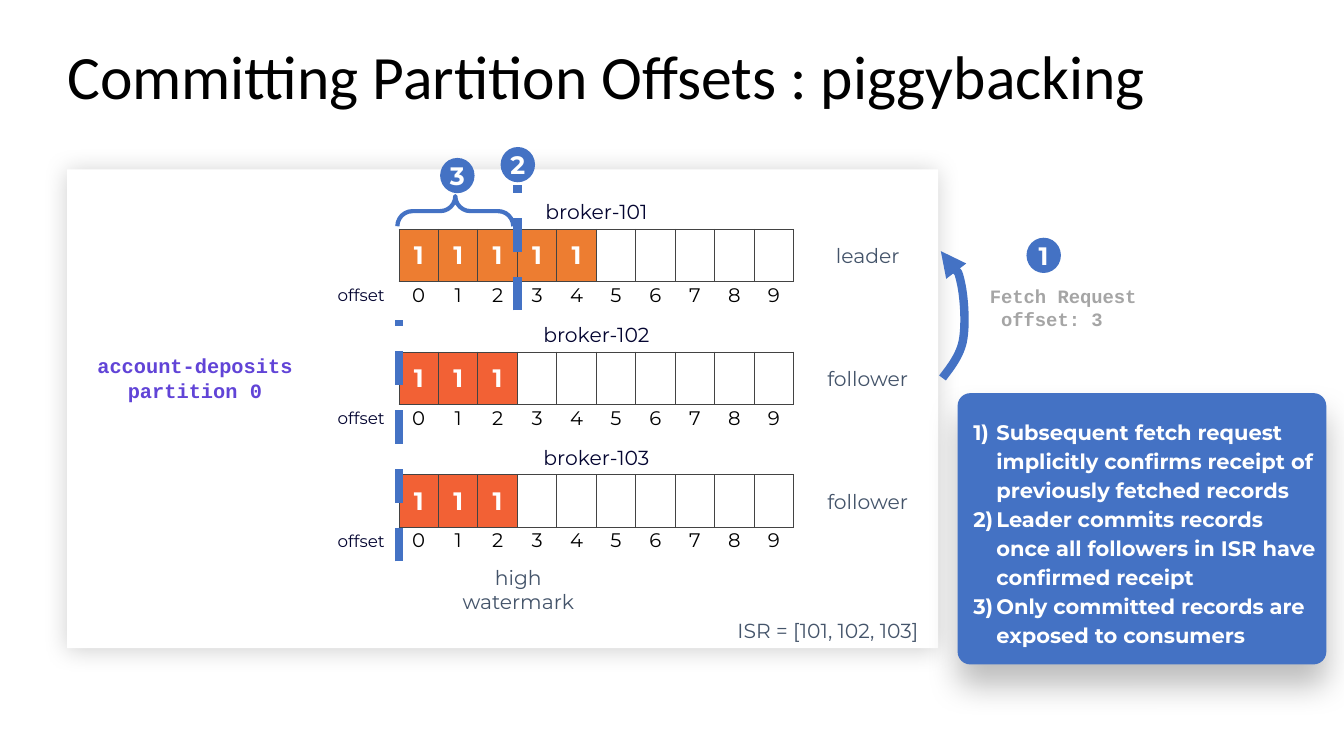
from dataclasses import dataclass

from lxml import etree
from pptx import Presentation
from pptx import util as u
from pptx.dml import color
from pptx.enum import dml, shapes, text
from pptx.oxml import ns

# Grid of 160 columns by 90 rows
deck = Presentation()
deck.slide_width, deck.slide_height = u.Inches(13.333), u.Inches(7.5)
CELL = deck.slide_height / 90
slide = deck.slides.add_slide(deck.slide_layouts[6])

BLUE, WHITE, SLATE, NAVY = "4472C4", "FFFFFF", "44546A", "040531"
ORANGE, CORAL, VIOLET, GREY = "ED7D31", "F26135", "6144D7", "A5A5A5"
SLOTS, SLOT_LEFT, SLOT_WIDTH = 10, 47.5, 4.7
LEFT, CENTER = text.PP_ALIGN.LEFT, text.PP_ALIGN.CENTER


@dataclass
class Place:
    col: float
    row: float
    cols: float
    rows: float

    def emu(self) -> tuple[int, ...]:
        return tuple(grid(n) for n in (self.col, self.row, self.cols, self.rows))


@dataclass
class Style:
    size: float
    hue: str
    bold: bool = False
    align: int = CENTER
    font: str = "Montserrat"
    spacing: float = 1.0


@dataclass
class Label:
    wording: str
    place: Place
    style: Style
    inset: float = 0.07
    middle: bool = True


@dataclass
class Broker:
    name: str
    role: str
    records: int
    fill: str


@dataclass
class Badge:
    number: int
    col: float
    row: float


def grid(n: float) -> int:
    return round(n * CELL)


def rgb(value: str) -> color.RGBColor:
    return color.RGBColor.from_string(value)


def child(parent, tag: str, **attributes):
    return etree.SubElement(parent, ns.qn(tag), {k: str(v) for k, v in attributes.items()})


def write(frame, wording: str, style: Style) -> None:
    frame.text = wording
    for paragraph in frame.paragraphs:
        paragraph.alignment = style.align
        paragraph.line_spacing = style.spacing
        font = paragraph.font
        font.name, font.size, font.bold = style.font, u.Pt(style.size), style.bold
        font.color.rgb = rgb(style.hue)


def set_margins(frame, left: float, top: float, right: float, bottom: float) -> None:
    frame.margin_left, frame.margin_top = u.Inches(left), u.Inches(top)
    frame.margin_right, frame.margin_bottom = u.Inches(right), u.Inches(bottom)


def add_label(label: Label) -> None:
    frame = slide.shapes.add_textbox(*label.place.emu()).text_frame
    frame.word_wrap = True
    set_margins(frame, *[label.inset] * 4)
    frame.vertical_anchor = text.MSO_ANCHOR.MIDDLE if label.middle else text.MSO_ANCHOR.TOP
    write(frame, label.wording, label.style)


def add_block(kind, place: Place, fill: str):
    block = slide.shapes.add_shape(kind, *place.emu())
    block.shadow.inherit = False
    block.fill.solid()
    block.fill.fore_color.rgb = rgb(fill)
    block.line.fill.background()
    block.text_frame.word_wrap = True
    block.text_frame.vertical_anchor = text.MSO_ANCHOR.MIDDLE
    return block


def cast_shadow(block, alpha: int, blur: float, distance: float) -> None:
    effects = block._element.spPr.find(ns.qn("a:effectLst"))
    shadow = child(effects, "a:outerShdw", blurRad=u.Pt(blur), dist=u.Pt(distance),
                   dir=5400000, algn="t", rotWithShape=0)
    child(child(shadow, "a:srgbClr", val="000000"), "a:alpha", val=alpha * 1000)


def set_line(line, width: float) -> None:
    line.color.rgb = rgb(BLUE)
    line.width = u.Pt(width)


def add_slots(row: float, rows: float, values: list[str], style: Style,
              inset: float, fills: list[str]) -> None:
    place = Place(SLOT_LEFT, row, SLOTS * SLOT_WIDTH, rows)
    table = slide.shapes.add_table(1, SLOTS, *place.emu()).table
    table.first_row = table.horz_banding = False
    for index, (value, fill) in enumerate(zip(values, fills)):
        table.columns[index].width = grid(SLOT_WIDTH)
        slot = table.cell(0, index)
        set_margins(slot, *[inset] * 4)
        slot.vertical_anchor = text.MSO_ANCHOR.MIDDLE
        write(slot.text_frame, value, style)
        if not fill:
            slot.fill.background()
            continue
        for side in "LRTB":
            border = child(slot._tc.get_or_add_tcPr(), f"a:ln{side}", w=u.Pt(0.75))
            child(child(border, "a:solidFill"), "a:srgbClr", val="434343")
        slot.fill.solid()
        slot.fill.fore_color.rgb = rgb(fill)


def add_watermark(col: float, bottom: float, top: float) -> None:
    mark = slide.shapes.add_connector(shapes.MSO_CONNECTOR.STRAIGHT,
                                      *[grid(n) for n in (col, bottom, col, top)])
    set_line(mark.line, 6)
    mark.line.dash_style = dml.MSO_LINE.DASH
    child(mark._element.spPr, "a:effectLst")


def add_fetch_arrow(start: tuple[float, float], controls: list[tuple[float, float]]) -> None:
    points = [(grid(x), grid(y)) for x, y in controls]
    builder = slide.shapes.build_freeform(grid(start[0]), grid(start[1]))
    arrow = builder.add_line_segments(points, close=False).convert_to_shape()
    arrow.shadow.inherit = False
    arrow.fill.background()
    set_line(arrow.line, 6)
    child(arrow.line._get_or_add_ln(), "a:headEnd", type="triangle")
    # Every three points become one Bezier curve
    steps = list(arrow._element.iter(ns.qn("a:lnTo")))
    outline = steps[0].getparent()
    for first in range(0, len(steps), 3):
        curve = child(outline, "a:cubicBezTo")
        for step in steps[first:first + 3]:
            curve.append(step[0])
            outline.remove(step)


# Card and title
card = add_block(shapes.MSO_SHAPE.RECTANGLE, Place(8, 20.16, 103.7, 57), WHITE)
cast_shadow(card, 19, 16.9, 1.5)
title = slide.shapes.add_textbox(*Place(8, 4.7, 136, 7.4).emu()).text_frame
title.word_wrap = True
set_margins(title, 0, 0.07, 0.13, 0.07)
write(title, "Committing Partition Offsets : piggybacking",
      Style(44, "000000", align=LEFT, font="Calibri", spacing=0.9))

# Brokers with their logs
brokers = [
    Broker("broker-101", "leader", 5, ORANGE),
    Broker("broker-102", "follower", 3, CORAL),
    Broker("broker-103", "follower", 3, CORAL),
]
for index, broker in enumerate(brokers):
    row = 27.3 + index * 14.62
    free = SLOTS - broker.records
    add_slots(row + 6.1, 3.5, [str(n) for n in range(SLOTS)], Style(14, "000000"),
              0, [""] * SLOTS)
    add_slots(row, 6.25, ["1"] * broker.records + [""] * free, Style(18, WHITE, True),
              0.07, [broker.fill] * broker.records + [WHITE] * free)
    add_label(Label("offset", Place(39.6, row + 6, 7.44, 3.6),
                    Style(12, NAVY, align=LEFT), 0.05))
    add_label(Label(broker.name, Place(60.7, row - 3.9, 20.6, 3.5), Style(14.5, NAVY)))
    add_label(Label(broker.role, Place(93, row + 1.4, 20.6, 3.5), Style(14.5, SLATE)))

# Captions
captions = [
    Label("Fetch Request\n offset: 3", Place(117, 33.5, 36, 6.2),
          Style(13.5, GREY, True, LEFT, "Courier New")),
    Label("high watermark", Place(51.4, 68.4, 20.6, 3.5), Style(14.5, SLATE)),
    Label("account-deposits partition 0", Place(9.2, 41.3, 28, 7.4),
          Style(14.5, VIOLET, True, font="Courier New")),
    Label("ISR = [101, 102, 103]", Place(87.2, 73, 24.5, 4.1),
          Style(14.5, SLATE, align=LEFT), 0.05, False),
]
for caption in captions:
    add_label(caption)

# High watermarks and fetch arrow
add_watermark(SLOT_LEFT, 66.84, 38.04)
add_watermark(61.6, 36.96, 22.08)
add_fetch_arrow((112, 29.9), [
    (112.4, 30.5), (114, 31.9), (114.4, 33.7),
    (114.8, 35.5), (115, 38.8), (114.6, 40.7),
    (114.2, 42.6), (112.7, 44.3), (112.2, 45),
])

# Explanation
steps_box = add_block(shapes.MSO_SHAPE.ROUNDED_RECTANGLE, Place(114, 46.8, 43.9, 32.3), BLUE)
steps_box.adjustments[0] = 0.047
cast_shadow(steps_box, 25, 23, 15)
steps = steps_box.text_frame
set_margins(steps, 0.1, 0.1, 0.05, 0.05)
explanation = "\n".join([
    "Subsequent fetch request implicitly confirms receipt of previously fetched records",
    "Leader commits records once all followers in ISR have confirmed receipt",
    "Only committed records are exposed to consumers",
])
steps.text = explanation
for paragraph in steps.paragraphs:
    properties = paragraph._p.get_or_add_pPr()
    properties.set("marL", str(u.Inches(0.25)))
    properties.set("indent", str(u.Inches(-0.23)))
    child(child(properties, "a:buClr"), "a:srgbClr", val=WHITE)
    child(properties, "a:buFont", typeface="+mj-lt")
    child(properties, "a:buAutoNum", type="arabicParenR")
    paragraph.line_spacing = 1.15
    paragraph.alignment = LEFT
    font = paragraph.font
    font.name, font.size, font.bold = "Montserrat", u.Pt(15), True
    font.color.rgb = rgb(WHITE)

# Numbered badges and brace
for badge in [Badge(1, 122.2, 28.3), Badge(3, 52.4, 18.8), Badge(2, 59.6, 17.5)]:
    disc = add_block(shapes.MSO_SHAPE.OVAL, Place(badge.col, badge.row, 4.1, 4.2), BLUE)
    set_margins(disc.text_frame, 0, 0.05, 0, 0.05)
    write(disc.text_frame, str(badge.number), Style(18, WHITE, True))
brace = slide.shapes.add_shape(shapes.MSO_SHAPE.LEFT_BRACE, *Place(52.4, 18.24, 3.6, 13.8).emu())
brace.rotation = 90
brace.adjustments[0] = brace.adjustments[1] = 0.5
brace.shadow.inherit = False
brace.fill.background()
set_line(brace.line, 3)

deck.save("out.pptx")
